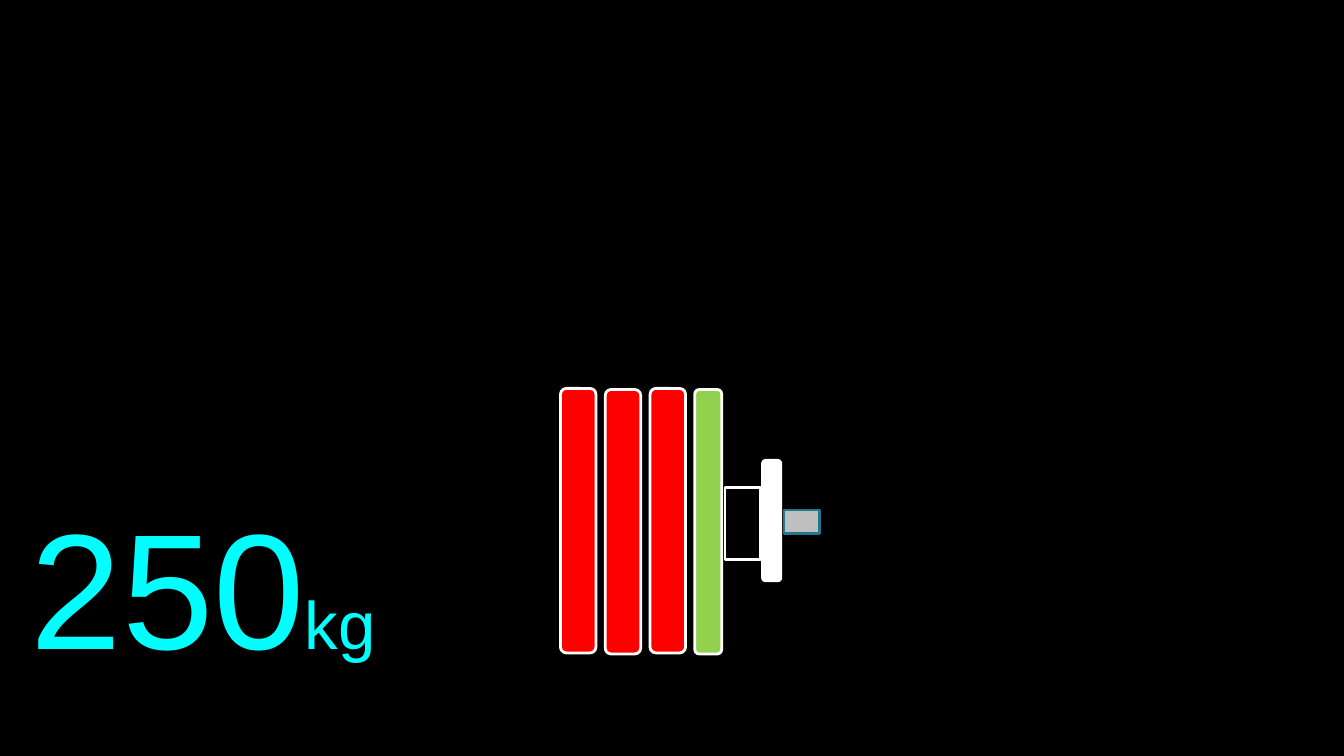
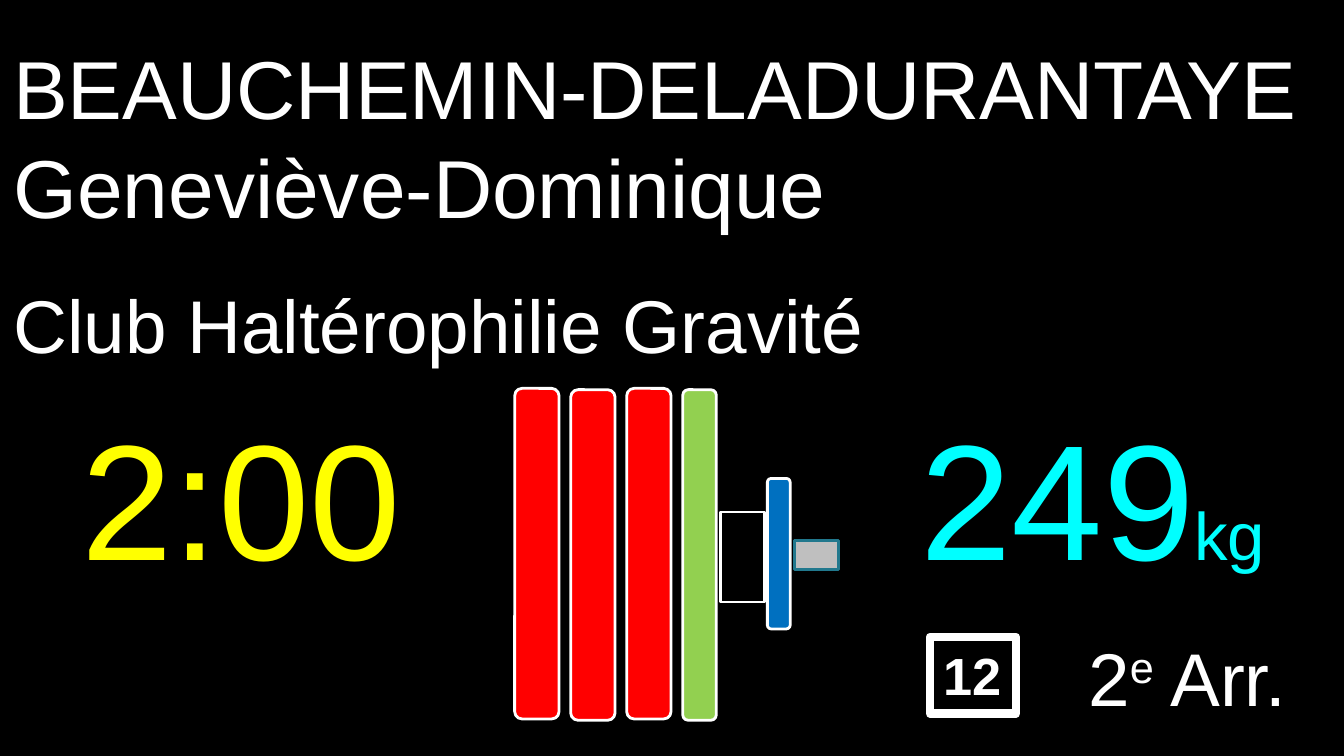
from dataclasses import dataclass

from pptx import Presentation
from pptx import util as u
from pptx.dml.color import RGBColor
from pptx.enum import shapes, text

ALIGN = text.PP_ALIGN
KIND = shapes.MSO_SHAPE


@dataclass(frozen=True)
class Theme:
    font: str = "Arial"
    black: str = "000000"
    white: str = "FFFFFF"
    cyan: str = "00FFFF"
    yellow: str = "FFFF00"
    red: str = "FF0000"
    green: str = "92D050"
    blue: str = "0070C0"
    grey: str = "BFBFBF"
    teal: str = "21788D"
    huge: int = 88
    name: int = 44
    body: int = 40
    unit: int = 36
    start: int = 28
    edge: float = 1.5
    frame: float = 4.5


def add_run(para, words, *, font, size, color, bold=False, lift=0):
    """Add one run of text in the given format."""
    run = para.add_run()
    run.text = words
    run.font.name = font
    run.font.size = u.Pt(size)
    run.font.bold = bold
    run.font.color.rgb = RGBColor.from_string(color)
    if lift:
        run._r.get_or_add_rPr().set("baseline", str(lift * 1000))


class Board:
    """Holds the style and the current slide."""

    def __init__(self, deck, theme):
        self.deck, self.theme, self.slide = deck, theme, None

    def new(self):
        self.slide = self.deck.slides.add_slide(self.deck.slide_layouts[6])
        fill = self.slide.background.fill
        fill.solid()
        fill.fore_color.rgb = RGBColor.from_string(self.theme.black)

    def label(self, box, *lines, align=ALIGN.LEFT, wrap=True, gaps=()):
        """Each line is a list of (words, format) runs."""
        item = self.slide.shapes.add_textbox(*map(u.Inches, box))
        frame = item.text_frame
        frame.word_wrap = wrap
        frame.auto_size = text.MSO_AUTO_SIZE.SHAPE_TO_FIT_TEXT
        for i, runs in enumerate(lines):
            para = frame.paragraphs[0] if i == 0 else frame.add_paragraph()
            para.alignment = align
            if i < len(gaps):
                para.line_spacing = gaps[i]
            for words, form in runs:
                base = dict(font=self.theme.font, size=self.theme.body,
                            color=self.theme.white)
                add_run(para, words, **(base | form))
        return item

    def block(self, box, fill, line, kind=KIND.ROUNDED_RECTANGLE):
        item = self.slide.shapes.add_shape(kind, *map(u.Inches, box))
        item.shadow.inherit = False
        item.fill.solid()
        item.fill.fore_color.rgb = RGBColor.from_string(fill)
        self.edge(item, line, self.theme.edge)

    def edge(self, item, color, width):
        item.line.color.rgb = RGBColor.from_string(color)
        item.line.width = u.Pt(width)

    def weight(self, left, top, kilos):
        t = self.theme
        self.label((left, top, 3.58, 1.58),
                   [(kilos, dict(size=t.huge, color=t.cyan)),
                    ("kg", dict(size=t.unit, color=t.cyan))])

    def bar(self, left, scale, small):
        """Draw the loaded bar end, its top at a fixed height."""
        t, top = self.theme, 2.89

        def part(x, y, w, h, fill, line=t.white, **form):
            box = (left + x * scale, top + y * scale, w * scale, h * scale)
            self.block(box, fill, line, **form)

        # Large plates, every second one slightly lower
        plates = [(t.red, 0.33)] * 3 + [(t.green, 0.25)]
        step = 1.25 / 3
        for i, (fill, wide) in enumerate(plates):
            part(i * step, i % 2 * 0.01, wide, 2.46, fill)
        # Collar, bar tip and small plate
        part(1.53, 0.92, 0.33, 0.67, t.black, kind=KIND.RECTANGLE)
        part(2.08, 1.13, 0.33, 0.22, t.grey, t.teal, kind=KIND.RECTANGLE)
        part(1.88, 0.67, 0.17, 1.12, small)


def main():
    # Wide format, 16 to 9
    deck = Presentation()
    deck.slide_width = u.Inches(10)
    deck.slide_height = u.Inches(10 * 9 / 16)
    t = Theme()
    board = Board(deck, t)

    # Slide 1: weight to load
    board.new()
    board.weight(0.13, 3.56, "250")
    board.bar(4.17, 0.8, t.white)

    # Slide 2: lifter, clock and attempt
    board.new()
    board.label((0, 0.23, 9.92, 2.59),
                [("BEAUCHEMIN-DELADURANTAYE", dict(size=t.name))],
                [("Geneviève-Dominique", dict(size=t.name))],
                [("Club Haltérophilie Gravité", {})],
                gaps=(None, None, 1.5))
    board.label((7.67, 4.65, 2, 0.77),
                [("2", {}), ("e", dict(lift=30)), (" Arr.", {})],
                align=ALIGN.RIGHT)
    board.weight(6.75, 2.9, "249")
    board.label((0.17, 2.9, 3.25, 1.58),
                [("2:00", dict(size=t.huge, color=t.yellow))],
                align=ALIGN.CENTER)
    start = board.label((6.92, 4.74, 0.64, 0.57),
                        [("12", dict(size=t.start, bold=True))], wrap=False)
    board.edge(start, t.white, t.frame)
    board.bar(3.83, 1, t.blue)

    deck.save("out.pptx")


if __name__ == "__main__":
    main()
